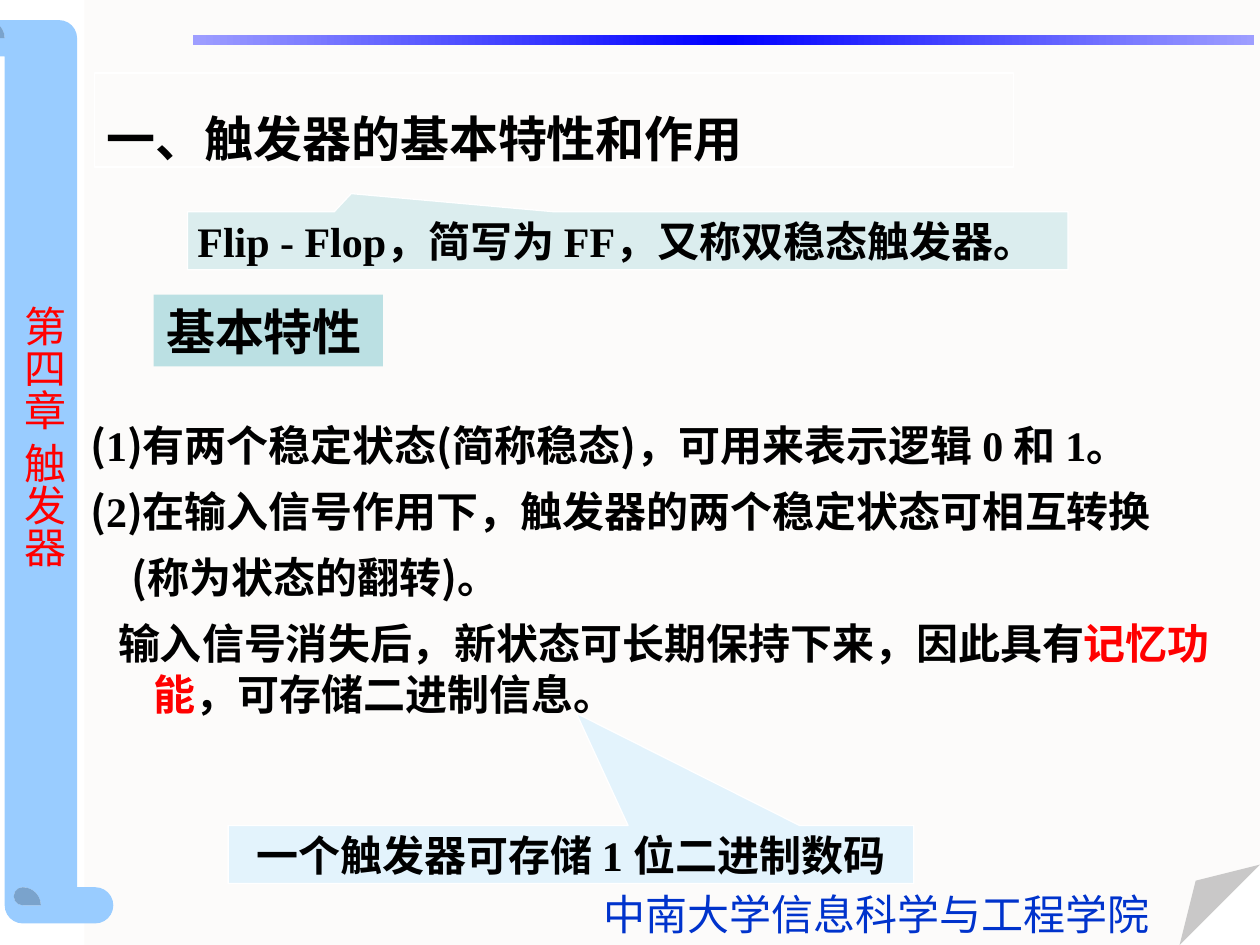
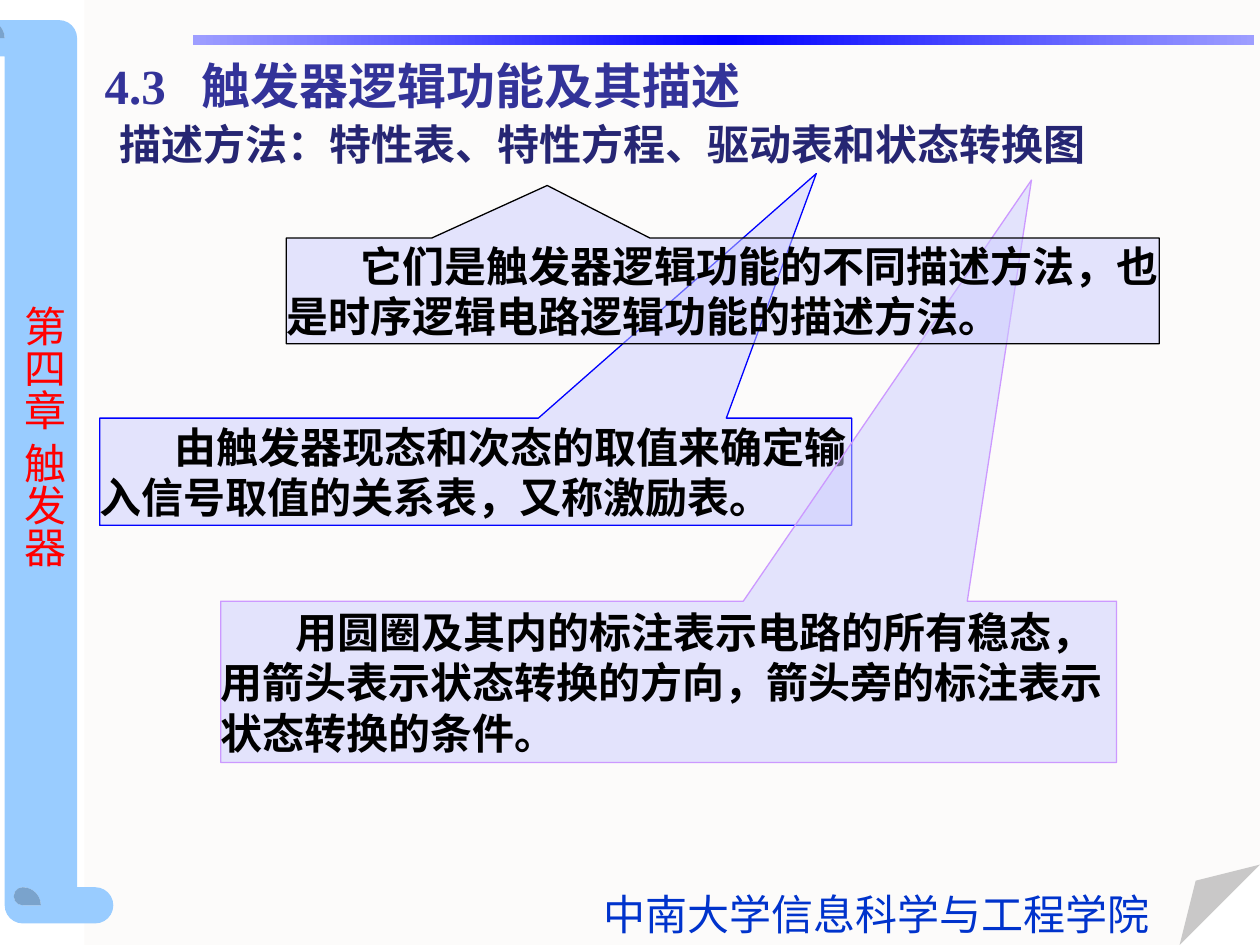
from copy import deepcopy

from lxml.etree import SubElement
from pptx import Presentation
from pptx.dml.color import RGBColor
from pptx.enum.shapes import MSO_SHAPE
from pptx.enum.text import MSO_ANCHOR, PP_ALIGN
from pptx.oxml.ns import qn
from pptx.util import Cm, Pt

SERIF, SANS = "Times New Roman", "Noto Sans CJK SC"
BLACK, WHITE, RED = "000000", "FFFFFF", "FF0000"
TEAL, SKY, LILAC, BLUE = "BBE0E3", "CCECFF", "CCCCFF", "0000FF"
color = RGBColor.from_string


def add_box(slide, kind, place, fill=None, line=None, opacity=100, adjustments=None):
    """Add a preset shape; place is left, top, width, height in centimetres."""
    shape = slide.shapes.add_shape(kind, *map(Cm, place))
    shape.shadow.inherit = False
    if adjustments:
        # Written as guides, since some presets list no adjustments in python-pptx
        guides = shape._element.spPr.find(".//" + qn("a:avLst"))
        guides.clear()
        for name, value in adjustments.items():
            SubElement(guides, qn("a:gd"), name=name, fmla=f"val {round(value * 100000)}")
    if fill:
        shape.fill.solid()
        shape.fill.fore_color.rgb = color(fill)
        if opacity < 100:
            fill_color = shape._element.spPr.find(".//" + qn("a:srgbClr"))
            SubElement(fill_color, qn("a:alpha"), val=str(opacity * 1000))
    else:
        shape.fill.background()
    if line:
        shape.line.color.rgb = color(line)
        shape.line.width = Pt(0.75)
    else:
        shape.line.fill.background()
    return shape


def write(shape, text, text_color=BLACK, size=24, bold=True, latin=SERIF,
          margins=(0, 0, 0, 0), indent=0, tab=None, wrap=True):
    """Fill the first paragraph; margins are left, top, right, bottom in centimetres."""
    frame = shape.text_frame
    frame.word_wrap = wrap
    (frame.margin_left, frame.margin_top,
     frame.margin_right, frame.margin_bottom) = map(Cm, margins)
    paragraph = frame.paragraphs[0]
    paragraph.text = text
    paragraph.alignment = PP_ALIGN.LEFT
    properties = paragraph._p.get_or_add_pPr()
    if indent:
        properties.set("indent", str(Cm(indent)))
    if tab:
        tabs = SubElement(properties, qn("a:tabLst"))
        SubElement(tabs, qn("a:tab"), pos=str(Cm(tab)), algn="l")
    font = paragraph.font
    font.name, font.size, font.bold = latin, Pt(size), bold
    font.color.rgb = color(text_color)
    SubElement(properties.find(qn("a:defRPr")), qn("a:ea"), typeface=SANS)
    return paragraph


presentation = Presentation()
presentation.slide_width, presentation.slide_height = Cm(25.4), Cm(19.05)
padding = (0.25, 0.13, 0.25, 0.13)

# Both slides: page, scroll, top band, school and chapter
for _ in range(2):
    slide = presentation.slides.add_slide(presentation.slide_layouts[6])
    add_box(slide, MSO_SHAPE.FOLDED_CORNER, (1.7, 0, 23.7, 19.05), "FCFBFA",
            adjustments={"adj": 0.085})
    scroll = add_box(slide, MSO_SHAPE.HORIZONTAL_SCROLL, (-8.28, 8.05, 18.21, 2.92),
                     "99CCFF", adjustments={"adj": 0.25})
    scroll.rotation = 270

    band = add_box(slide, MSO_SHAPE.RECTANGLE, (3.89, 0.71, 21.39, 0.2))
    band.fill.gradient()
    band.fill.gradient_angle = 0
    first_stop = band._element.spPr.find(".//" + qn("a:gs"))
    first_stop.addnext(deepcopy(first_stop))
    stops = [(0, "9E9EFF"), (0.5, BLUE), (1, "9E9EFF")]
    for stop, (position, stop_color) in zip(band.fill.gradient_stops, stops):
        stop.position = position
        stop.color.rgb = color(stop_color)

    school = slide.shapes.add_textbox(Cm(11.91), Cm(17.78), Cm(11.51), Cm(1.27))
    write(school, "中南大学信息科学与工程学院", "0033CC", bold=False,
          margins=padding, wrap=False)
    chapter = slide.shapes.add_textbox(Cm(0), Cm(5.92), Cm(1.52), Cm(5.77))
    write(chapter, "第四章 触发器", RED, bold=False, latin=SANS,
          margins=(0.13, 0.25, 0.13, 0.25), wrap=False)
    chapter.text_frame._txBody.bodyPr.set("vert", "eaVert")

features_slide, methods_slide = presentation.slides

# Slide 1: title, alias callout and label
title = add_box(features_slide, MSO_SHAPE.RECTANGLE, (1.9, 1.47, 18.54, 1.9), line=WHITE)
write(title, "一、触发器的基本特性和作用", size=28, latin="Arial", margins=(0.25, 0, 0.25, 0))
title.text_frame.vertical_anchor = MSO_ANCHOR.BOTTOM

alias = add_box(features_slide, MSO_SHAPE.RECTANGULAR_CALLOUT, (3.78, 4.27, 17.75, 1.17),
                TEAL, WHITE, 50, {"adj1": -0.314, "adj2": -0.814})
write(alias, "Flip - Flop，简写为 FF，又称双稳态触发器。", margins=(0.2, 0, 0, 0))

label = add_box(features_slide, MSO_SHAPE.RECTANGLE, (3.1, 5.94, 4.62, 1.45), TEAL)
write(label, "基本特性", size=28, margins=padding)

# Slide 1: features, each with its first-line indent and runs
features = [
    (-1.27, [("(", SANS, BLACK), ("1", SERIF, BLACK),
             (")有两个稳定状态(简称稳态)，", SANS, BLACK),
             ("可用来表示逻辑 0 和 1。", SERIF, BLACK)]),
    (-1.27, [("(", SANS, BLACK), ("2", SERIF, BLACK), (")", SANS, BLACK),
             ("在输入信号作用下，触发器的两个稳定状态可相互转换", SERIF, BLACK)]),
    (-0.43, [("(称为状态的翻转)。", SANS, BLACK)]),
    (-0.71, [("输入信号消失后，新状态可长期保持下来，因此具有", SERIF, BLACK),
             ("记忆功能", SERIF, RED), ("，可存储二进制信息。", SERIF, BLACK)]),
]
body = features_slide.shapes.add_textbox(Cm(1.57), Cm(8.33), Cm(23.83), Cm(6.43))
frame = body.text_frame
frame.word_wrap = True
for number, (indent, runs) in enumerate(features):
    paragraph = frame.add_paragraph() if number else frame.paragraphs[0]
    properties = paragraph._p.get_or_add_pPr()
    properties.set("marL", str(Cm(1.27)))
    properties.set("indent", str(Cm(indent)))
    if number:
        paragraph.space_before = Pt(9)
    paragraph.font.size, paragraph.font.bold = Pt(24), True
    for text, latin, run_color in runs:
        run = paragraph.add_run()
        run.text = text
        run.font.name = latin
        run.font.color.rgb = color(run_color)
        SubElement(run._r.rPr, qn("a:ea"), typeface=SANS)

# Slide 1: storage callout
storage = add_box(features_slide, MSO_SHAPE.RECTANGULAR_CALLOUT, (4.6, 16.64, 13.82, 1.17),
                  SKY, WHITE, 50, {"adj1": 0.008, "adj2": -2.432})
write(storage, "一个触发器可存储 1 位二进制数码").alignment = PP_ALIGN.CENTER

# Slide 2: list of methods
methods = methods_slide.shapes.add_textbox(Cm(2.16), Cm(2.26), Cm(22.76), Cm(1.27))
write(methods, "描述方法：特性表、特性方程、驱动表和状态转换图", "262673", margins=padding)

# Slide 2: callouts pointing at the methods
callouts = [
    ((2.01, 8.43, 15.16, 2.16), BLUE, {"adj1": 0.453, "adj2": -2.783},
     "由触发器现态和次态的取值来确定输入信号取值的关系表，又称激励表。"),
    ((4.45, 12.12, 18.06, 3.25), "CC99FF", {"adj1": 0.405, "adj2": -3.112},
     "用圆圈及其内的标注表示电路的所有稳态，用箭头表示状态转换的方向，"
     "箭头旁的标注表示状态转换的条件。"),
    ((5.77, 4.8, 17.6, 2.13), BLACK, {"adj1": -0.201, "adj2": -0.998},
     "它们是触发器逻辑功能的不同描述方法，也是时序逻辑电路逻辑功能的描述方法。"),
]
for place, line, pointer, text in callouts:
    callout = add_box(methods_slide, MSO_SHAPE.RECTANGULAR_CALLOUT, place,
                      LILAC, line, 50, pointer)
    write(callout, text, indent=1.5)

# Slide 2: section heading
heading = methods_slide.shapes.add_textbox(Cm(2.11), Cm(1.12), Cm(13.69), Cm(1.19))
write(heading, "4.3\t触发器逻辑功能及其描述", "333399", size=28, tab=1.96)

presentation.save("out.pptx")
